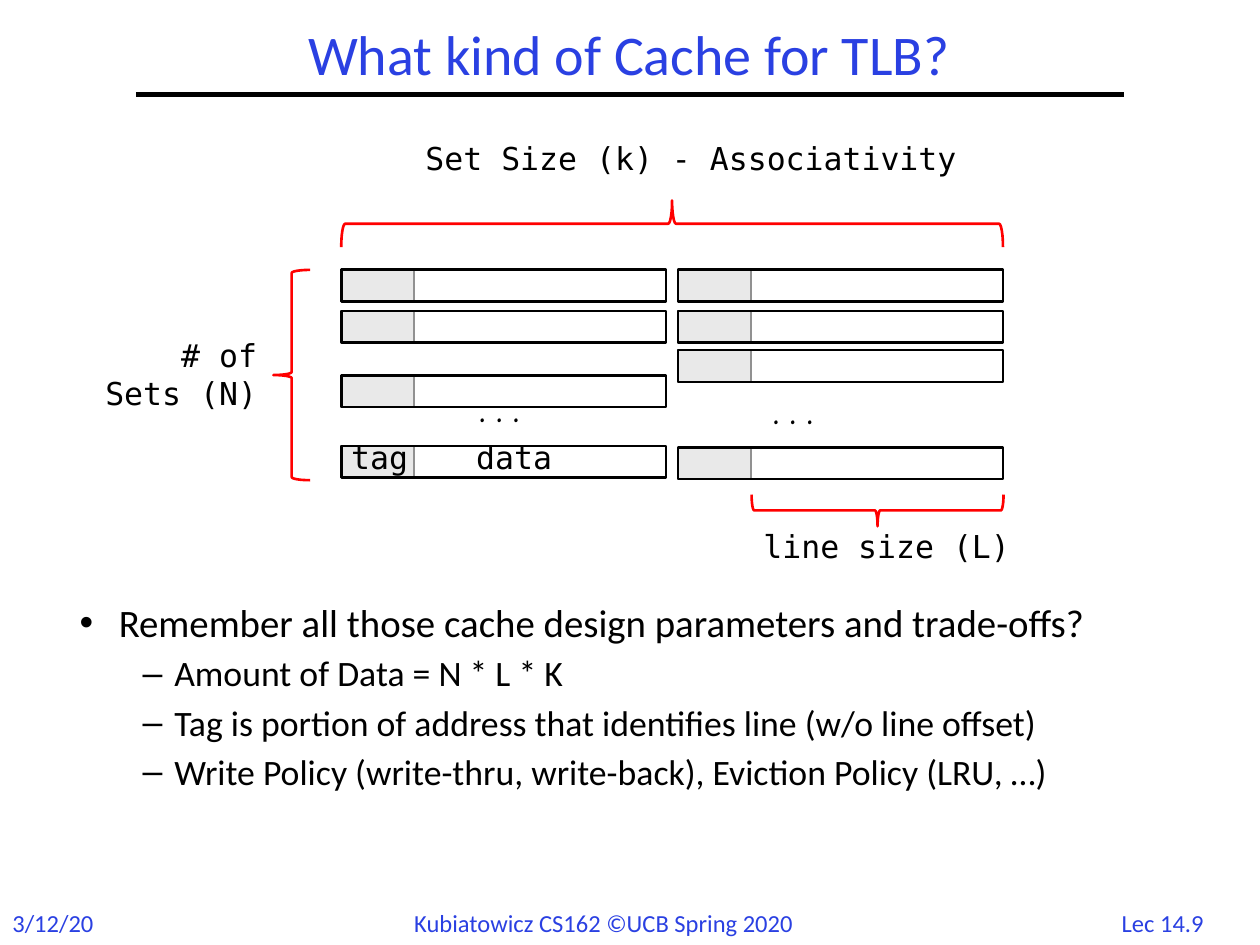
from lxml import etree
from pptx import Presentation
from pptx.dml.color import RGBColor
from pptx.enum.shapes import MSO_CONNECTOR, MSO_SHAPE
from pptx.enum.text import MSO_ANCHOR, MSO_AUTO_SIZE, PP_ALIGN
from pptx.oxml.ns import qn
from pptx.util import Cm, Pt

LEFT, CENTER, RIGHT = PP_ALIGN.LEFT, PP_ALIGN.CENTER, PP_ALIGN.RIGHT
RECTANGLE, BRACE = MSO_SHAPE.RECTANGLE, MSO_SHAPE.RIGHT_BRACE
STRAIGHT = MSO_CONNECTOR.STRAIGHT
MIDDLE, TOP = MSO_ANCHOR.MIDDLE, MSO_ANCHOR.TOP
NO_AUTOFIT = MSO_AUTO_SIZE.NONE

SANS, MONO, COMIC = "Calibri", "DejaVu Sans Mono", "Comic Neue"
BLUE, BLACK, WHITE, RED = "2A40E2", "000000", "FFFFFF", "FF0000"
TAG_FILL, TAG_LINE = "E9E9E9", "919191"


def color(hex_string):
    return RGBColor.from_string(hex_string)


class SlideBuilder:
    """Holds the current slide and the style of its elements."""

    line_width, line_height, tag_width = 6.55, 0.64, 1.47

    def __init__(self, presentation):
        self.slide = presentation.slides.add_slide(presentation.slide_layouts[1])
        self.shapes = self.slide.shapes

    def style(self, paragraph, font, size, hex_string, bold=False):
        paragraph.font.name = font
        paragraph.font.size = Pt(size)
        paragraph.font.bold = bold
        paragraph.font.color.rgb = color(hex_string)

    def place(self, placeholder, left, top, width, height, anchor):
        placeholder.left, placeholder.top = Cm(left), Cm(top)
        placeholder.width, placeholder.height = Cm(width), Cm(height)
        frame = placeholder.text_frame
        frame.auto_size = NO_AUTOFIT
        frame.vertical_anchor = anchor
        return frame

    def title(self, text, *box):
        frame = self.place(self.shapes.title, *box, MIDDLE)
        frame.text = text
        heading = frame.paragraphs[0]
        heading.alignment = CENTER
        heading.line_spacing = 0.9
        self.style(heading, SANS, 32, BLUE)

    def bullets(self, items, *box):
        frame = self.place(self.slide.placeholders[1], *box, TOP)
        # Per level: mark, left margin, hanging indent, text size
        levels = [("•", 0.79, 0.79, 22.2), ("–", 1.91, 0.64, 20.4)]
        for index, (level, text) in enumerate(items):
            item = frame.add_paragraph() if index else frame.paragraphs[0]
            mark, margin, hanging, size = levels[level]
            item.text, item.level = text, level
            item.line_spacing = 0.9
            item.space_before = Pt(6 if index else 0)
            properties = item._p.get_or_add_pPr()
            properties.set("marL", str(Cm(margin)))
            properties.set("indent", str(-Cm(hanging)))
            etree.SubElement(properties, qn("a:buChar")).set("char", mark)
            self.style(item, SANS, size, BLACK)

    def label(self, text, left, top, width, height=1.02, font=MONO, size=18,
              hex_string=BLACK, bold=False, align=LEFT, wrap=False):
        box = self.shapes.add_textbox(Cm(left), Cm(top), Cm(width), Cm(height))
        box.text_frame.word_wrap = wrap
        box.text_frame.text = text
        paragraph = box.text_frame.paragraphs[0]
        paragraph.alignment = align
        self.style(paragraph, font, size, hex_string, bold)

    def footer(self, text, left, width, align=LEFT):
        self.label(text, left, 18.19, width, 0.85, SANS, 14, BLUE, align=align)

    def shape(self, parent, kind, left, top, width, height, fill, line, weight):
        shape = parent.add_shape(kind, Cm(left), Cm(top), Cm(width), Cm(height))
        shape.shadow.inherit = False
        if fill:
            shape.fill.solid()
            shape.fill.fore_color.rgb = color(fill)
        else:
            shape.fill.background()
        shape.line.color.rgb = color(line)
        shape.line.width = Pt(weight)
        return shape

    def cache_line(self, left, top):
        group = self.shapes.add_group_shape().shapes
        self.shape(group, RECTANGLE, left, top, self.tag_width,
                   self.line_height, TAG_FILL, TAG_LINE, 1)
        self.shape(group, RECTANGLE, left, top, self.line_width,
                   self.line_height, None, BLACK, 1.5)

    def brace(self, left, top, width, height, rotation):
        """Draw a brace that covers the given box once it is turned."""
        if rotation % 180:
            left, top = left + (width - height) / 2, top + (height - width) / 2
            width, height = height, width
        brace = self.shape(self.shapes, BRACE, left, top, width, height,
                           WHITE, RED, 1.5)
        brace.rotation = rotation

    def rule(self, left, right, y):
        rule = self.shapes.add_connector(STRAIGHT, Cm(left), Cm(y), Cm(right), Cm(y))
        rule.line.color.rgb = color(BLACK)
        rule.line.width = Pt(3)
        etree.SubElement(rule._element.spPr, qn("a:effectLst"))


def main():
    presentation = Presentation()
    presentation.slide_width, presentation.slide_height = Cm(25.4), Cm(19.05)
    page = SlideBuilder(presentation)

    # Title, rule and footers
    page.title("What kind of Cache for TLB?", 2.74, 0.43, 19.89, 1.47)
    page.rule(2.74, 22.66, 1.9)
    page.footer("3/12/20", 0, 2.16)
    page.footer("Kubiatowicz CS162 ©UCB Spring 2020", 8.1, 9.22)
    page.footer("Lec 14.9", 22.07, 2.74, CENTER)

    # Two ways of the cache, one column each
    first_way, second_way = 6.88, 13.67
    line_tops = {first_way: (5.44, 6.27, 7.57, 8.99),
                 second_way: (5.44, 6.27, 7.06, 9.02)}
    for way, tops in line_tops.items():
        for top in tops:
            page.cache_line(way, top)
    for left, top in ((9.42, 7.75), (15.34, 7.8)):
        page.label(". . .", left, top, 1.91, font=COMIC, bold=True)
    page.label("tag", 6.83, 8.71, 1.65)
    page.label("data", 9.35, 8.71, 2.06)

    # Braces with the cache parameters
    page.brace(15.15, 9.97, 5.08, 0.64, 90)
    page.label("line size (L)", 15.14, 10.49, 5.49)
    page.brace(5.51, 5.44, 0.74, 4.24, 180)
    page.label("# of Sets (N)", 1.65, 6.65, 3.78, 1.8, align=RIGHT, wrap=True)
    page.brace(first_way, 4.04, 13.34, 0.94, 270)
    page.label("Set Size (k) - Associativity", first_way, 2.67, 12.65,
               align=RIGHT, wrap=True)

    # Design parameters
    page.bullets([
        (0, "Remember all those cache design parameters and trade-offs?"),
        (1, "Amount of Data = N * L * K"),
        (1, "Tag is portion of address that identifies line (w/o line offset)"),
        (1, "Write Policy (write-thru, write-back), Eviction Policy (LRU, …)"),
    ], 1.35, 12.04, 22.71, 4.78)

    presentation.save("out.pptx")


if __name__ == "__main__":
    main()
